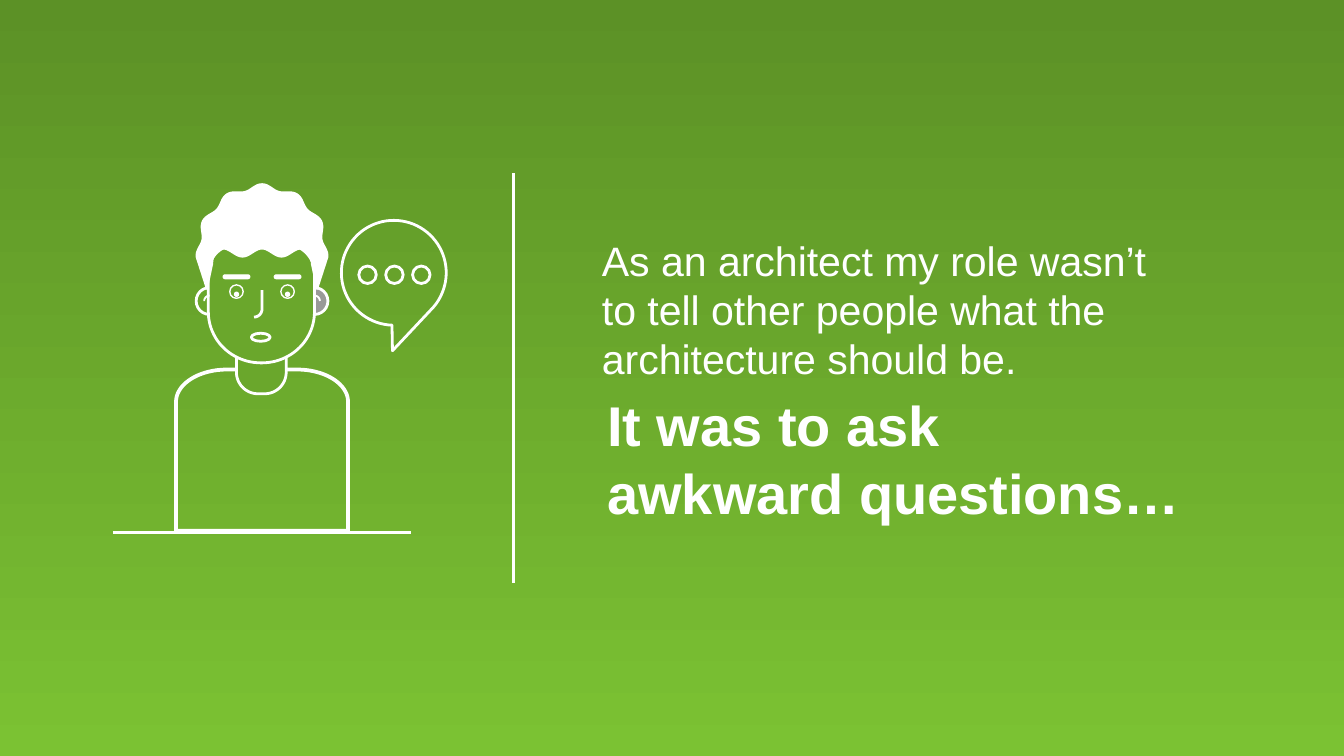
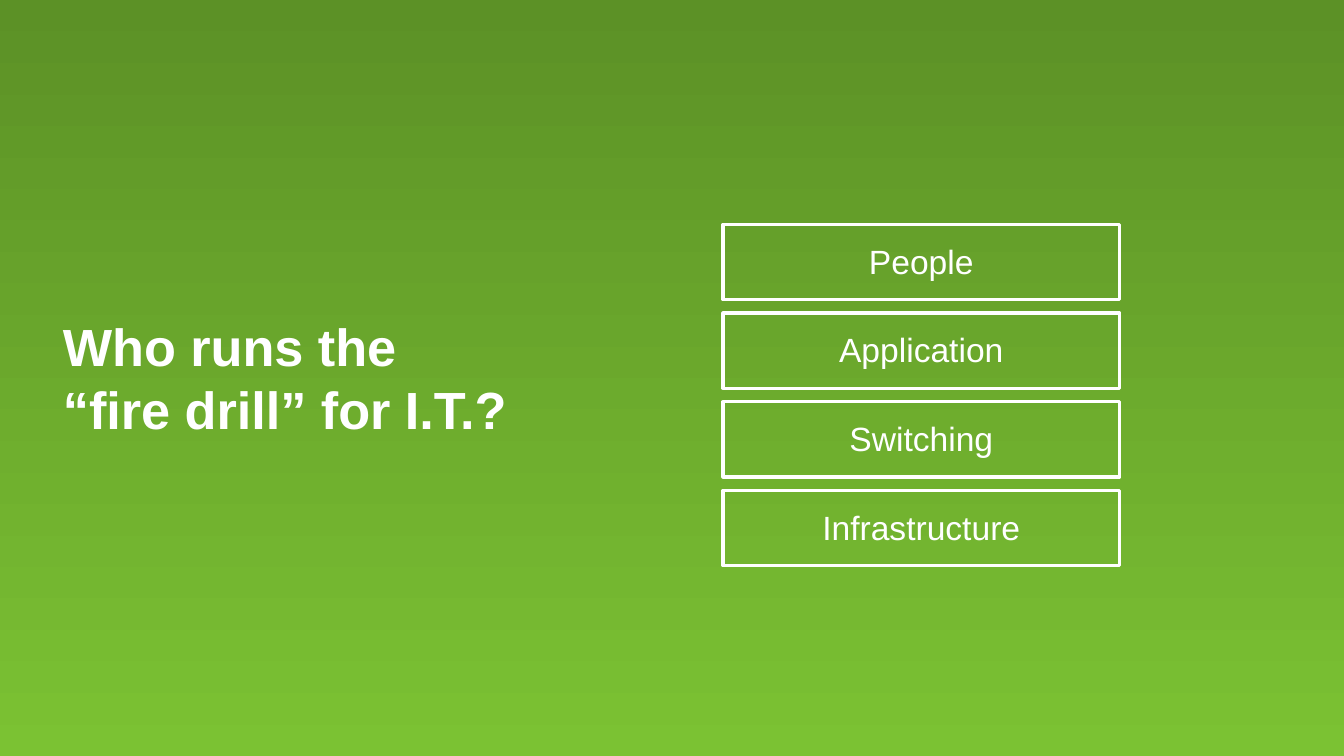
"""Build two green slides: an architect's awkward question and a fire-drill stack."""
from dataclasses import dataclass
from math import cos, pi, radians, sin
from typing import NamedTuple, Optional, Union

from lxml import etree
from pptx import Presentation
from pptx.dml.color import RGBColor
from pptx.enum.shapes import MSO_CONNECTOR, MSO_SHAPE
from pptx.enum.text import MSO_AUTO_SIZE, PP_ALIGN
from pptx.oxml.ns import qn
from pptx.presentation import Presentation as Deck
from pptx.shapes.autoshape import Shape
from pptx.shapes.shapetree import GroupShapes, SlideShapes
from pptx.slide import Slide
from pptx.util import Inches, Pt

ELLIPSE = MSO_SHAPE.OVAL
RECTANGLE = MSO_SHAPE.RECTANGLE
PILL = MSO_SHAPE.ROUNDED_RECTANGLE
STRAIGHT = MSO_CONNECTOR.STRAIGHT
GROW = MSO_AUTO_SIZE.SHAPE_TO_FIT_TEXT
FIXED = MSO_AUTO_SIZE.NONE
LEFT, CENTER = PP_ALIGN.LEFT, PP_ALIGN.CENTER

Shapes = Union[SlideShapes, GroupShapes]


@dataclass(frozen=True)
class Theme:
    top: RGBColor = RGBColor(0x5C, 0x91, 0x26)
    bottom: RGBColor = RGBColor(0x7B, 0xC2, 0x33)
    skin: RGBColor = RGBColor(0x6A, 0xA7, 0x2C)
    shade: RGBColor = RGBColor(0x99, 0x9A, 0x98)
    white: RGBColor = RGBColor(0xFF, 0xFF, 0xFF)
    font: str = "Arial"
    label: int = 18
    body: int = 22
    question: int = 28
    headline: int = 30


THEME = Theme()


class Point(NamedTuple):
    x: float
    y: float


class Box(NamedTuple):
    left: float
    top: float
    width: float
    height: float


class Layer(NamedTuple):
    label: str
    width: float


@dataclass(frozen=True)
class Look:
    fill: Optional[RGBColor] = None
    line: float = 0


@dataclass(frozen=True)
class Words:
    text: str
    box: Box
    size: int
    bold: bool = False
    align: PP_ALIGN = LEFT
    wrap: bool = True
    fit: MSO_AUTO_SIZE = GROW


OUTLINED = Look(line=1.5)
SKIN = Look(THEME.skin, 1.5)
SHADED = Look(THEME.shade, 1.5)
FACE_AXIS = 1.95
SIDES = (-1, 1)
LAYERS = [
    Layer("People", 0.99), Layer("Application", 1.44),
    Layer("Switching", 1.28), Layer("Infrastructure", 1.69),
]


def centered(center: Point, width: float, height: float) -> Box:
    """Return the box of a given size around a center."""
    return Box(center.x - width / 2, center.y - height / 2, width, height)


def beside_axis(side: int, offset: float, y: float) -> Point:
    """Return a point left (-1) or right (1) of the face axis."""
    return Point(FACE_AXIS + side * offset, y)


def arc(center: Point, radius: Point, start: float, end: float, steps: int = 24) -> list[Point]:
    """Sample an elliptical arc; degrees run clockwise from the right."""
    angles = [radians(start + (end - start) * step / steps) for step in range(steps + 1)]
    return [Point(center.x + radius.x * cos(a), center.y + radius.y * sin(a)) for a in angles]


def rounded_box(box: Box, upper: Point, lower: Point) -> list[Point]:
    """Outline a box with separate radii for its upper and lower corners."""
    left, top, width, height = box
    right, bottom = left + width, top + height
    corners = (
        (left + upper.x, top + upper.y, upper, 180),
        (right - upper.x, top + upper.y, upper, 270),
        (right - lower.x, bottom - lower.y, lower, 0),
        (left + lower.x, bottom - lower.y, lower, 90),
    )
    return [point for x, y, radius, start in corners
            for point in arc(Point(x, y), radius, start, start + 90)]


def curly_crown() -> list[Point]:
    """Trace the crown from left to right as a circle with six rippling curls."""
    center, radius, ripple, curl = Point(FACE_AXIS, 1.86), 0.47, 0.02, 32
    points = []
    for angle in range(270 - 3 * curl, 270 + 3 * curl + 1, 2):
        reach = radius + ripple * cos(2 * pi * (angle - 270) / curl)
        points.append(Point(center.x + reach * cos(radians(angle)),
                            center.y + reach * sin(radians(angle))))
    return points


def wavy_fringe() -> list[Point]:
    """Trace the fringe from right to left as a two-period wave with round ends."""
    period, middle, height, steps = 0.29, 1.88, 0.03, 40
    temple = Point(0.08, 0.11)
    temple_y = middle - height + temple.y
    wave = []
    for step in range(steps + 1):
        offset = period * (1 - 2 * step / steps)
        wave.append(Point(FACE_AXIS + offset, middle - height * cos(2 * pi * offset / period)))
    return (arc(beside_axis(1, period, temple_y), temple, 0, -90)
            + wave + arc(beside_axis(-1, period, temple_y), temple, 270, 180))


def hair_outline() -> list[Point]:
    """Join crown and fringe at the tips of the sideburns."""
    left_tip, right_tip = (beside_axis(side, 0.41, 2.15) for side in SIDES)
    return [left_tip, *curly_crown(), right_tip, *wavy_fringe()]


def bubble_outline() -> list[Point]:
    """Trace a round speech bubble whose tail points down."""
    circle = arc(Point(2.93, 2.03), Point(0.39, 0.39), 92, 405, steps=72)
    return [*circle, Point(2.92, 2.61)]


def apply_look(shape: Shape, look: Look) -> None:
    """Give a shape its fill and white line."""
    shape.shadow.inherit = False
    if look.fill is None:
        shape.fill.background()
    else:
        shape.fill.solid()
        shape.fill.fore_color.rgb = look.fill
    if look.line:
        shape.line.color.rgb = THEME.white
        shape.line.width = Pt(look.line)
    else:
        shape.line.fill.background()


def draw_outline(shapes: Shapes, points: list[Point], look: Look, closed: bool = True) -> None:
    """Draw a free outline through points."""
    start, *rest = [(Inches(point.x), Inches(point.y)) for point in points]
    builder = shapes.build_freeform(*start)
    builder.add_line_segments(rest, close=closed)
    apply_look(builder.convert_to_shape(), look)


def draw_preset(shapes: Shapes, kind: MSO_SHAPE, box: Box, look: Look) -> None:
    """Draw a preset shape."""
    shape = shapes.add_shape(kind, *map(Inches, box))
    if kind == PILL:
        shape.adjustments[0] = 0.5
    apply_look(shape, look)


def draw_rule(shapes: Shapes, start: Point, end: Point, width: float) -> None:
    """Draw a white straight rule."""
    rule = shapes.add_connector(STRAIGHT, *map(Inches, start + end))
    rule.line.color.rgb = THEME.white
    rule.line.width = Pt(width)
    etree.SubElement(rule.element.spPr, qn("a:effectLst"))


def draw_words(shapes: Shapes, words: Words) -> None:
    """Draw white text in a text box."""
    frame = shapes.add_textbox(*map(Inches, words.box)).text_frame
    frame.text = words.text
    frame.word_wrap = words.wrap
    frame.auto_size = words.fit
    for paragraph in frame.paragraphs:
        paragraph.alignment = words.align
        for run in paragraph.runs:
            run.font.name = THEME.font
            run.font.size = Pt(words.size)
            run.font.bold = words.bold
            run.font.color.rgb = THEME.white


def add_green_slide(deck: Deck) -> Slide:
    """Add a blank slide with the shared gradient background."""
    slide = deck.slides.add_slide(deck.slide_layouts[6])
    fill = slide.background.fill
    fill.gradient()
    fill.gradient_angle = 270
    for stop, color, position in zip(
            fill.gradient_stops, (THEME.top, THEME.bottom), (0, 1)):
        stop.color.rgb = color
        stop.position = position
    return slide


def draw_body_and_head(shapes: Shapes) -> None:
    """Draw torso, ears, neck and head, each covering the one before."""
    square = Point(0, 0)
    torso = rounded_box(Box(1.31, 2.75, 1.28, 1.2), Point(0.38, 0.24), square)
    neck = rounded_box(Box(1.76, 2.62, 0.37, 0.31), square, Point(0.16, 0.16))
    head = rounded_box(Box(1.55, 1.82, 0.79, 0.88), Point(0.21, 0.21), Point(0.39, 0.38))
    draw_outline(shapes, torso, Look(line=2))
    for side, look in zip(SIDES, (SKIN, SHADED)):
        draw_preset(shapes, ELLIPSE, centered(beside_axis(side, 0.39, 2.24), 0.2, 0.2), look)
    draw_outline(shapes, neck, SKIN)
    draw_outline(shapes, head, SKIN)


def draw_face(shapes: Shapes) -> None:
    """Draw brows, eyes, ear folds, nose and mouth."""
    for side, fold_start in zip(SIDES, (180, 270)):
        brow, eye, pupil = (beside_axis(side, 0.19, y) for y in (2.06, 2.17, 2.19))
        draw_preset(shapes, PILL, centered(brow, 0.2, 0.03), Look(THEME.white, 0.5))
        draw_preset(shapes, ELLIPSE, centered(eye, 0.1, 0.1), Look(line=0.75))
        draw_preset(shapes, ELLIPSE, centered(pupil, 0.04, 0.04), Look(THEME.white))
        fold = arc(beside_axis(side, 0.39, 2.24), Point(0.04, 0.04), fold_start, fold_start + 90)
        draw_outline(shapes, fold, Look(line=1), closed=False)
    nose = [Point(1.95, 2.16), *arc(Point(1.89, 2.3), Point(0.06, 0.06), 0, 90)]
    draw_outline(shapes, nose, OUTLINED, closed=False)
    draw_preset(shapes, ELLIPSE, Box(1.87, 2.48, 0.14, 0.06), SKIN)


def draw_architect(shapes: Shapes) -> None:
    """Draw the architect from the torso up to the hair."""
    draw_body_and_head(shapes)
    draw_face(shapes)
    draw_outline(shapes, hair_outline(), Look(THEME.white, 1))


def draw_speech_bubble(shapes: Shapes) -> None:
    """Draw the speech bubble with three evenly spaced dots."""
    draw_outline(shapes, bubble_outline(), OUTLINED)
    for dot in range(3):
        draw_preset(shapes, ELLIPSE, Box(2.67 + 0.2 * dot, 1.98, 0.13, 0.13), OUTLINED)


def build_questions_slide(deck: Deck) -> None:
    """Build the slide about asking awkward questions."""
    shapes = add_green_slide(deck).shapes
    draw_architect(shapes.add_group_shape().shapes)
    draw_rule(shapes, Point(0.84, 3.96), Point(3.06, 3.96), 1.5)
    draw_words(shapes, Words(
        "As an architect my role wasn’t \vto tell other people what the "
        "architecture should be.", Box(4.38, 1.7, 4.78, 1.21), THEME.body))
    draw_rule(shapes, Point(3.82, 1.29), Point(3.82, 4.34), 1.25)
    draw_words(shapes, Words("It was to ask \vawkward questions…",
                             Box(4.42, 2.86, 4.78, 1.11), THEME.headline, bold=True))
    draw_speech_bubble(shapes)


def build_fire_drill_slide(deck: Deck) -> None:
    """Build the slide with the stack of I.T. layers."""
    shapes = add_green_slide(deck).shapes
    for index, layer in enumerate(LAYERS):
        frame = Box(5.38, 1.67 + 0.66 * index, 2.95, 0.56)
        draw_preset(shapes, RECTANGLE, frame, Look(line=1.75))
        label_left = frame.left + (frame.width - layer.width) / 2
        draw_words(shapes, Words(
            layer.label, Box(label_left, frame.top + 0.07, layer.width, 0.4),
            THEME.label, align=CENTER, wrap=False))
    draw_words(shapes, Words("Who runs the\v“fire drill” for I.T.?",
                             Box(0.37, 2.29, 3.6, 1.04), THEME.question,
                             bold=True, fit=FIXED))


def main() -> None:
    """Build and save the deck."""
    deck = Presentation()
    deck.slide_width = Inches(10)
    deck.slide_height = Inches(10 * 9 / 16)
    build_questions_slide(deck)
    build_fire_drill_slide(deck)
    deck.save("out.pptx")


if __name__ == "__main__":
    main()
